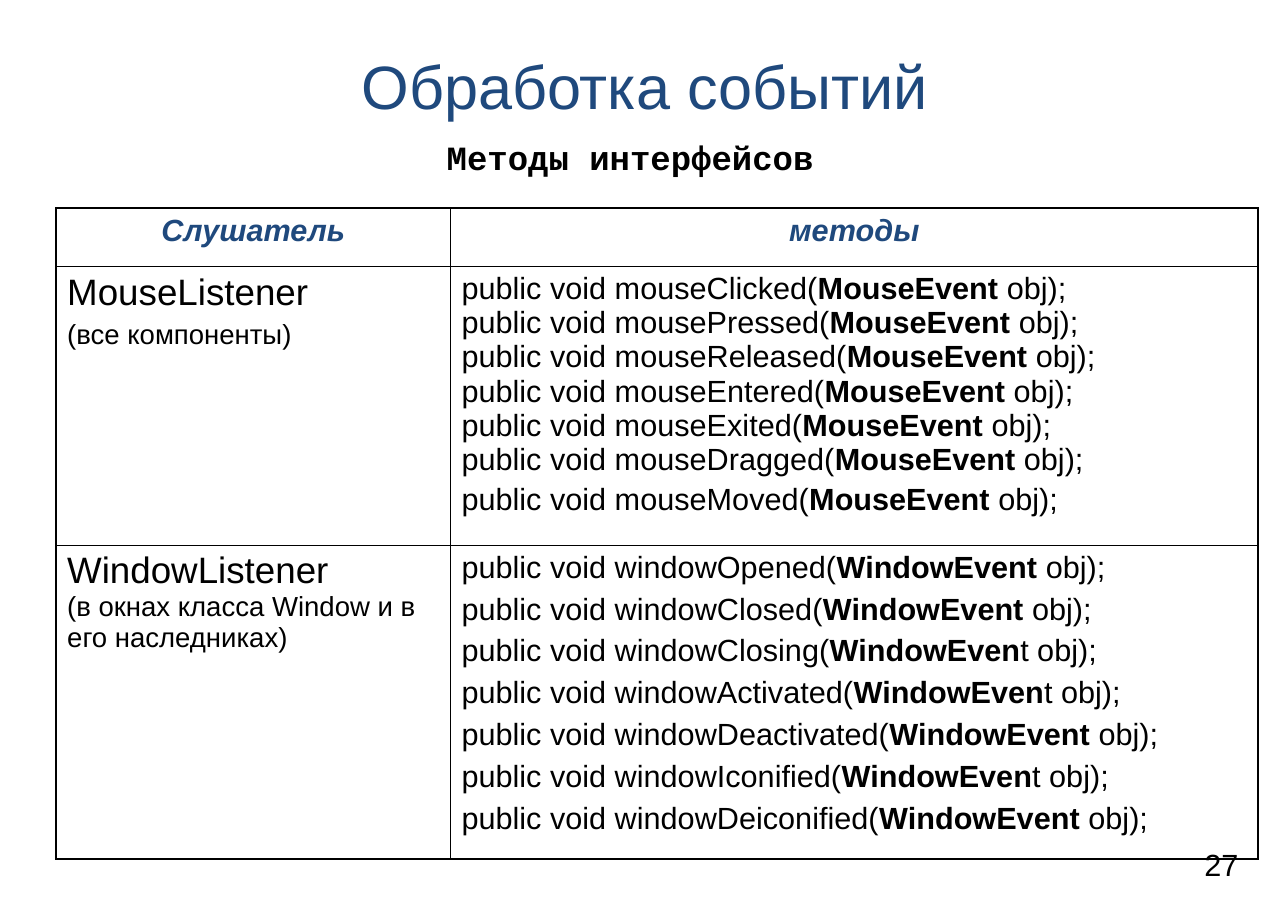
import pptx
import pptx.util
import pptx.dml.color
import pptx.enum.text
import pptx.oxml
import pptx.oxml.ns

COLORS = {"navy": "1F497D", "black": "000000"}
CENTER = pptx.enum.text.PP_ALIGN.CENTER
TOP = pptx.enum.text.MSO_ANCHOR.TOP
MIDDLE = pptx.enum.text.MSO_ANCHOR.MIDDLE
THICK, THIN = 1.08, 0.45


def pt(size):
    return pptx.util.Pt(size)


class Deck:
    """Style and current slide; lengths are percent of the slide's sides."""

    def __init__(self, width, height):
        self.prs = pptx.Presentation()
        self.prs.slide_width = pptx.util.Inches(width)
        self.prs.slide_height = pptx.util.Inches(height)
        self.s = self.prs.slides.add_slide(self.prs.slide_layouts[1])

    def x(self, share):
        return round(self.prs.slide_width * share / 100)

    def y(self, share):
        return round(self.prs.slide_height * share / 100)

    def box(self, left, top, width, height):
        return self.x(left), self.y(top), self.x(width), self.y(height)

    def fill_text(self, p, text, size, color="black", name="Arial", bold=False,
                  italic=False, **layout):
        """Fill a paragraph; parts between bars are bold."""
        for key, value in layout.items():
            setattr(p, key, value)
        for i, part in enumerate(text.split("|")):
            r = p.add_run()
            r.text = part
            style = {"name": name, "size": pt(size),
                     "bold": bold or i % 2 == 1, "italic": italic}
            for key, value in style.items():
                setattr(r.font, key, value)
            r.font.color.rgb = pptx.dml.color.RGBColor.from_string(COLORS[color])

    def frame(self, tf, anchor, inset_x=0.11, inset_y=0.06):
        style = {
            "word_wrap": True, "vertical_anchor": anchor,
            "auto_size": pptx.enum.text.MSO_AUTO_SIZE.NONE,
            "margin_left": pptx.util.Inches(inset_x),
            "margin_right": pptx.util.Inches(inset_x),
            "margin_top": pptx.util.Inches(inset_y),
            "margin_bottom": pptx.util.Inches(inset_y),
        }
        for key, value in style.items():
            setattr(tf, key, value)

    def placeholder(self, idx, box, anchor, text, size, **style):
        sp = self.s.placeholders[idx]
        sp.left, sp.top, sp.width, sp.height = self.box(*box)
        self.frame(sp.text_frame, anchor)
        p = sp.text_frame.paragraphs[0]
        if idx:
            pPr = p._p.get_or_add_pPr()
            pPr.set("marL", "0")
            pPr.set("indent", "0")
            pPr.append(pptx.oxml.parse_xml(
                f"<a:buNone {pptx.oxml.ns.nsdecls('a')}/>"))
        self.fill_text(p, text, size, alignment=CENTER, space_before=pt(0),
                       **style)

    def label(self, box, text, size):
        tf = self.s.shapes.add_textbox(*self.box(*box)).text_frame
        self.frame(tf, TOP, 0, 0)
        self.fill_text(tf.paragraphs[0], text, size)

    def borders(self, cell, **widths):
        tcPr = cell._tc.get_or_add_tcPr()
        for i, (side, width) in enumerate(widths.items()):
            tcPr.insert(i, pptx.oxml.parse_xml(
                f'<a:{side} {pptx.oxml.ns.nsdecls("a")} w="{int(pt(width))}">'
                f'<a:solidFill><a:srgbClr val="{COLORS["black"]}"/></a:solidFill>'
                f'</a:{side}>'))

    def table(self, left, top, cols, rows, cells):
        """Each cell is a list of (text, size, style) paragraphs."""
        table = self.s.shapes.add_table(
            len(rows), len(cols),
            *self.box(left, top, sum(cols), sum(rows))).table
        table.first_row = table.horz_banding = False
        for i, share in enumerate(cols):
            table.columns[i].width = self.x(share)
        for i, share in enumerate(rows):
            table.rows[i].height = self.y(share)
        last_row, last_col = len(rows) - 1, len(cols) - 1
        for i, row in enumerate(cells):
            for j, paragraphs in enumerate(row):
                cell = table.cell(i, j)
                cell.fill.background()
                self.borders(cell, lnL=THIN if j else THICK,
                             lnR=THICK if j == last_col else THIN,
                             lnT=THIN if i else THICK,
                             lnB=THICK if i == last_row else THIN)
                tf = cell.text_frame
                for k, (text, size, style) in enumerate(paragraphs):
                    p = tf.add_paragraph() if k else tf.paragraphs[0]
                    self.fill_text(p, text, size, **style)


def methods(prefix, event, names, gaps):
    """Signature lines; a star marks a name whose bold stops a letter early."""
    lines = []
    for name, gap in zip(names, gaps):
        bold = f"|{event[:-1]}|{event[-1]}" if name.endswith("*") else f"|{event}|"
        text = f"public void {prefix}{name.rstrip('*')}({bold} obj);"
        lines.append((text, 20, {"space_before": pt(gap)}))
    return lines


def main():
    deck = Deck(11.69, 8.28)

    # Title and subtitle
    deck.placeholder(0, (5.05, 3.99, 90, 10.75), MIDDLE,
                     "Обработка событий", 40, color="navy")
    deck.placeholder(1, (10.78, 14.73, 76.3, 6.04), TOP, "Методы интерфейсов",
                     22.2, name="Courier New", bold=True, line_spacing=0.9)

    # Slide number
    deck.label((93.5, 92.75, 3.08, 4.11), "27", 20)

    # Listeners and their methods
    head = {"color": "navy", "bold": True, "italic": True, "alignment": CENTER}
    mouse = ["Clicked", "Pressed", "Released", "Entered", "Exited", "Dragged",
             "Moved"]
    window = ["Opened", "Closed", "Closing*", "Activated*", "Deactivated",
              "Iconified*", "Deiconified"]
    deck.table(4.36, 22.83, [30.62, 62.7], [6.4, 30.56, 34.42], [
        [[("Слушатель", 20, head)], [("методы", 20, head)]],
        [[("MouseListener", 24, {}),
          ("(все компоненты)", 18, {"space_before": pt(4.5)})],
         methods("mouse", "MouseEvent", mouse, [0] * 6 + [4])],
        [[("WindowListener", 24, {}),
          ("(в окнах класса Window и в его наследниках)", 18, {})],
         methods("window", "WindowEvent", window, [0] + [5] * 6)],
    ])

    deck.prs.save("out.pptx")


if __name__ == "__main__":
    main()
